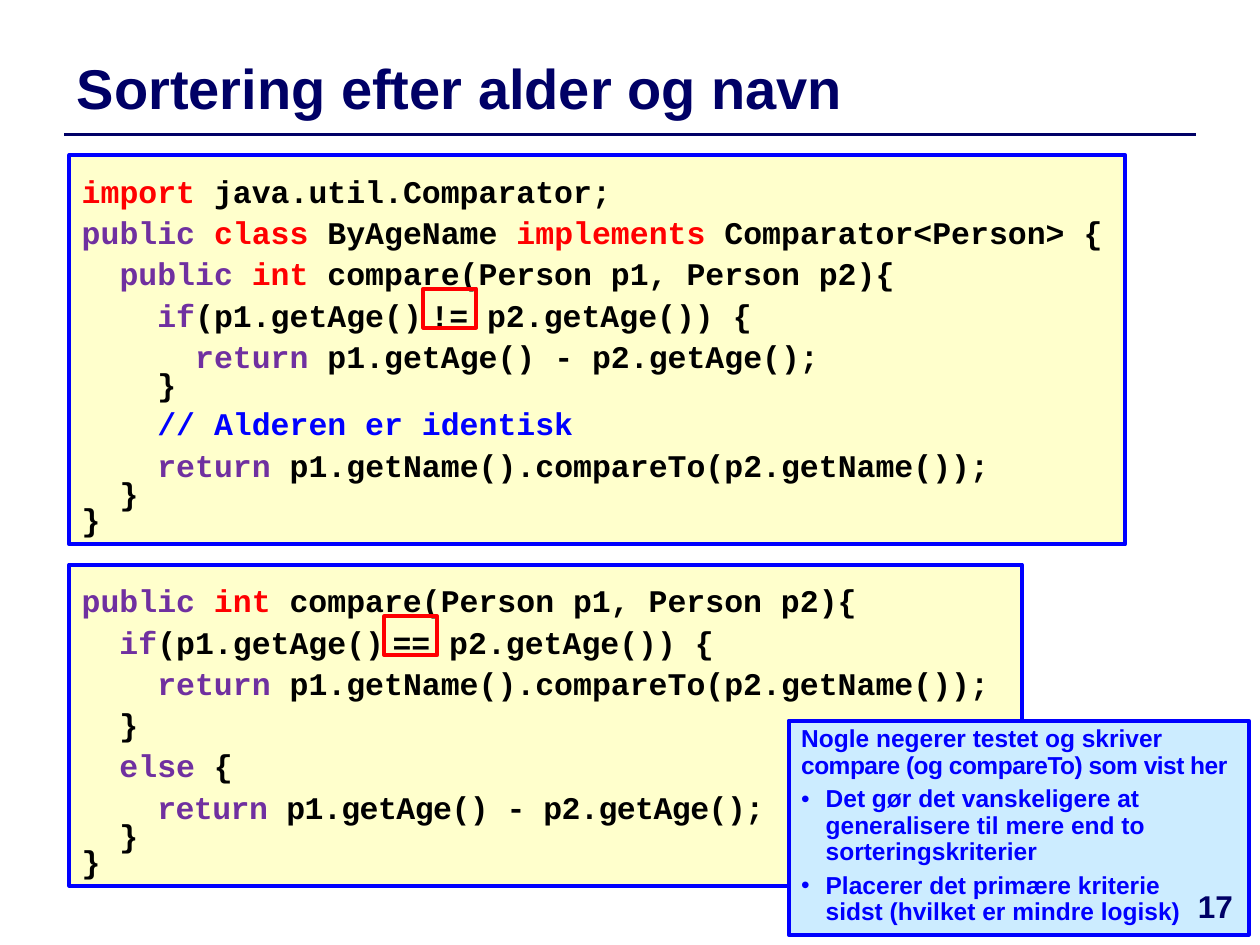
from pptx import Presentation
from pptx.dml.color import RGBColor
from pptx.enum.shapes import MSO_CONNECTOR as CONN, MSO_SHAPE as SHAPE
from pptx.enum.text import MSO_ANCHOR as ANCHOR, PP_ALIGN as ALIGN
from pptx.oxml.ns import qn
from pptx.util import Pt
from lxml.etree import SubElement

NAVY = RGBColor(0x00, 0x00, 0x66)
BLUE = RGBColor(0x00, 0x00, 0xFF)
RED = RGBColor(0xFF, 0x00, 0x00)
PURPLE = RGBColor(0x70, 0x30, 0xA0)
BLACK = RGBColor(0x00, 0x00, 0x00)
YELLOW = RGBColor(0xFF, 0xFF, 0xCC)
PALE_BLUE = RGBColor(0xCC, 0xEC, 0xFF)

GAP = (" ", BLACK, 8)
RETURN_AGE = "p1.getAge() - p2.getAge();"
RETURN_NAME = "p1.getName().compareTo(p2.getName());"
SIGNATURE = [("public ", PURPLE), ("int ", RED),
             ("compare(Person p1, Person p2){", BLACK)]

BY_AGE_NAME = [
    (1, [("import ", RED), ("java.util.Comparator;", BLACK)]),
    (1, [("public ", PURPLE), ("class ", RED), ("ByAgeName ", BLACK),
         ("implements ", RED), ("Comparator<Person> {", BLACK)]),
    (1, [("  ", BLACK)] + SIGNATURE),
    (1, [("    if", PURPLE), ("(p1.getAge()", BLACK), GAP,
         ("!= p2.getAge()) {", BLACK)]),
    (1, [("      return ", PURPLE), (RETURN_AGE, BLACK)]),
    (0.6, [("    }", BLACK)]),
    (1, [("    // Alderen er identisk", BLUE)]),
    (1, [("    return ", PURPLE), (RETURN_NAME, BLACK)]),
    (0.6, [("  }", BLACK)]),
    (0.6, [("}", BLACK)]),
]
NEGATED = [
    (1, SIGNATURE),
    (1, [("  if", PURPLE), ("(p1.getAge()", BLACK), GAP,
         ("== p2.getAge()) {", BLACK)]),
    (1, [("    return ", PURPLE), (RETURN_NAME, BLACK)]),
    (1, [("  }", BLACK)]),
    (1, [("  else ", PURPLE), ("{", BLACK)]),
    (1, [("    ", PURPLE), ("return ", PURPLE, 18, -30),
         (RETURN_AGE, BLACK, 18, -30)]),
    (0.6, [("  }", BLACK)]),
    (0.6, [("}", BLACK)]),
]
NOTE_INTRO = [("Nogle negerer testet og skriver ", 0),
              ("compare (og compareTo) som vist her", -30)]
NOTE_BULLETS = [
    "Det gør det vanskeligere at generalisere til mere end to sorteringskriterier",
    "Placerer det primære kriterie\vsidst (hvilket er mindre logisk)",
]


def add_run(p, text, color, size, font="Arial", spacing=0):
    """Add a bold run to a paragraph, with line breaks at vertical tabs."""
    for i, part in enumerate(text.split("\v")):
        if i:
            p.add_line_break()
        r = p.add_run()
        r.text = part
        r.font.name, r.font.size, r.font.bold = font, Pt(size), True
        r.font.color.rgb = color
        if spacing:
            r._r.get_or_add_rPr().set("spc", str(spacing))


def next_paragraph(tf, index):
    """Return the first paragraph of a frame, or a new one after it."""
    return tf.add_paragraph() if index else tf.paragraphs[0]


def add_panel(s, box, line, fill=None):
    """Add an outlined rectangle and return its text frame."""
    sp = s.shapes.add_shape(SHAPE.RECTANGLE, *map(Pt, box))
    sp.shadow.inherit = False
    sp.line.color.rgb, sp.line.width = line, Pt(2.25)
    if fill is None:
        sp.fill.background()
    else:
        sp.fill.solid()
        sp.fill.fore_color.rgb = fill
    tf = sp.text_frame
    tf.word_wrap, tf.vertical_anchor = True, ANCHOR.TOP
    return tf


def add_title(s, box, text):
    """Place the title in its box with a rule below it."""
    left, top, width, height = box
    sp = s.shapes.title
    sp.left, sp.top, sp.width, sp.height = map(Pt, box)
    tf = sp.text_frame
    tf.word_wrap, tf.vertical_anchor = True, ANCHOR.MIDDLE
    p = tf.paragraphs[0]
    p.alignment = ALIGN.LEFT
    add_run(p, text, NAVY, 32)
    y = Pt(top + height + 3)
    rule = s.shapes.add_connector(CONN.STRAIGHT, Pt(left), y, Pt(720 - left), y)
    rule.line.color.rgb, rule.line.width = NAVY, Pt(2)
    SubElement(rule._element.spPr, qn("a:effectLst"))


def add_code(s, box, lines):
    """Place a listing of coloured code in a yellow panel."""
    tf = add_panel(s, box, BLUE, YELLOW)
    tf.margin_top = Pt(9.5)
    for i, (spacing, runs) in enumerate(lines):
        p = next_paragraph(tf, i)
        p.alignment, p.line_spacing = ALIGN.LEFT, spacing
        p.space_before = Pt(2 if i else 0)
        for text, color, size, spc in ((*run, 18, 0)[:4] if len(run) == 2
                                       else (*run, 0)[:4] for run in runs):
            add_run(p, text, color, size, "Courier New", spc)


def add_note(s, box, intro, bullets):
    """Place the comment with an introduction and bullets."""
    tf = add_panel(s, box, BLUE, PALE_BLUE)
    for i, runs in enumerate([intro] + [[(text, 0)] for text in bullets]):
        p = next_paragraph(tf, i)
        p.alignment, p.line_spacing = ALIGN.LEFT, 0.9
        p.space_before = Pt(4 if i else 0)
        if i:
            pPr = p._p.get_or_add_pPr()
            pPr.set("marL", str(Pt(14)))
            pPr.set("indent", str(-Pt(14)))
            SubElement(pPr, qn("a:buFont")).set("typeface", "Arial")
            SubElement(pPr, qn("a:buChar")).set("char", "•")
        for text, spc in runs:
            add_run(p, text, BLUE, 14, spacing=spc)


def add_page_number(s, box, text):
    """Place the page number centred in its box."""
    tf = s.shapes.add_textbox(*map(Pt, box)).text_frame
    tf.word_wrap = True
    p = tf.paragraphs[0]
    p.alignment = ALIGN.CENTER
    add_run(p, text, NAVY, 18)


def main():
    """Build the slide and save it."""
    prs = Presentation()
    prs.slide_width, prs.slide_height = Pt(720), Pt(540)
    s = prs.slides.add_slide(prs.slide_layouts[5])
    add_title(s, (36.7, 26, 683.3, 48), "Sortering efter alder og navn")
    add_code(s, (39.6, 88.6, 603.4, 222.5), BY_AGE_NAME)
    add_code(s, (39.6, 322.6, 544.3, 183.6), NEGATED)
    add_note(s, (450.7, 411.8, 262.8, 122.4), NOTE_INTRO, NOTE_BULLETS)
    add_page_number(s, (668.9, 503.3, 51.1, 36), "17")
    for left, top in ((241.9, 164.9), (219.6, 352.1)):
        add_panel(s, (left, top, 30.2, 22.3), RED)
    prs.save("out.pptx")


if __name__ == "__main__":
    main()
